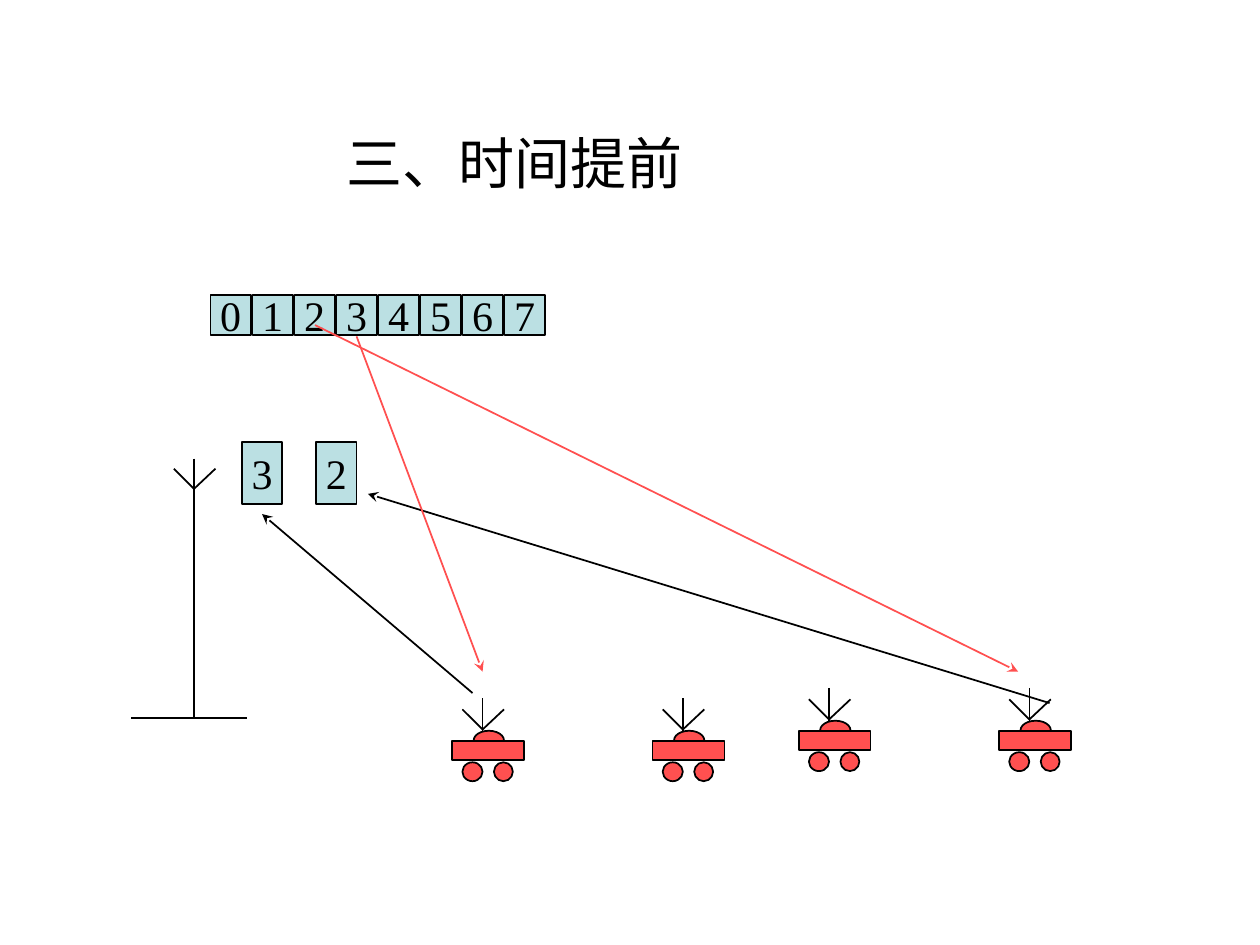
"""Build the timing advance slide: slots, base station, cars and signals."""
from lxml import etree
from pptx import Presentation
from pptx.dml.color import RGBColor
from pptx.enum import shapes, text
from pptx.oxml import ns
from pptx.util import Inches, Pt

COLORS = {"black": "000000", "red": "FF5050", "slot": "BBE0E3"}
FONT = "Times New Roman"
TITLE = "三、时间提前"
SLOTS = "01234567"
SLOT_LEFT, SLOT_TOP, SLOT_SIZE, SLOT_PITCH = 1.67, 2.34, 0.32, 1 / 3
RECEIVED_SLOTS = [("3", 1.92), ("2", 2.51)]
STATION_LINES = [
    (1.54, 3.64, 1.54, 5.7),
    (1.04, 5.7, 1.96, 5.7),
    (1.38, 3.72, 1.54, 3.88),
    (1.71, 3.72, 1.54, 3.88),
]
CARS = [(5.18, 5.88), (3.59, 5.88), (6.34, 5.8), (7.93, 5.8)]
CAR_PARTS = [
    ("OVAL", 0.17, -0.08, 0.24, 0.15),
    ("RECTANGLE", 0, 0, 0.57, 0.15),
    ("OVAL", 0.08, 0.17, 0.16, 0.15),
    ("OVAL", 0.33, 0.17, 0.15, 0.15),
]
CAR_ANTENNA = [
    (0.24, -0.34, 0.24, -0.08),
    (0.08, -0.25, 0.24, -0.09),
    (0.41, -0.25, 0.24, -0.09),
]
UPLINKS = [(3.75, 5.5, 2.08, 4.08), (8.33, 5.58, 2.92, 3.92)]
DOWNLINKS = [(2.5, 2.58, 8.08, 5.33), (2.83, 2.67, 3.83, 5.33)]


def add_line(container, ends, color="black", arrow=False):
    line = container.add_connector(
        shapes.MSO_CONNECTOR.STRAIGHT, *[Inches(value) for value in ends]
    )
    line.line.color.rgb = RGBColor.from_string(COLORS[color])
    line.line.width = Pt(1)
    properties = line._element.spPr
    etree.SubElement(properties, ns.qn("a:effectLst"))
    if arrow:
        outline = properties.find(ns.qn("a:ln"))
        etree.SubElement(outline, ns.qn("a:tailEnd"), type="stealth")


def add_part(container, kind, box, color):
    shape = container.add_shape(
        shapes.MSO_SHAPE[kind], *[Inches(value) for value in box]
    )
    shape.shadow.inherit = False
    shape.fill.solid()
    shape.fill.fore_color.rgb = RGBColor.from_string(COLORS[color])
    shape.line.color.rgb = RGBColor.from_string(COLORS["black"])
    shape.line.width = Pt(1)
    return shape


def write(shape, words, size):
    frame = shape.text_frame
    frame.text = words
    frame.word_wrap = False
    font = frame.paragraphs[0].runs[0].font
    font.name = FONT
    font.size = Pt(size)
    font.color.rgb = RGBColor.from_string(COLORS["black"])


def add_slot(container, label, left, top, height):
    slot = add_part(
        container, "RECTANGLE", (left, top, SLOT_SIZE, height), "slot"
    )
    write(slot, label, 24)
    slot.text_frame.vertical_anchor = text.MSO_ANCHOR.MIDDLE
    slot.text_frame.paragraphs[0].alignment = text.PP_ALIGN.CENTER


def add_car(slide, left, top):
    car = slide.shapes.add_group_shape().shapes
    for kind, x, y, width, height in CAR_PARTS:
        add_part(car, kind, (left + x, top + y, width, height), "red")
    for x1, y1, x2, y2 in CAR_ANTENNA:
        add_line(car, (left + x1, top + y1, left + x2, top + y2))


def main():
    presentation = Presentation()
    presentation.slide_width, presentation.slide_height = Inches(10), Inches(7.5)
    slide = presentation.slides.add_slide(presentation.slide_layouts[6])

    for ends in STATION_LINES:
        add_line(slide.shapes, ends)
    for left, top in CARS:
        add_car(slide, left, top)
    for ends in UPLINKS:
        add_line(slide.shapes, ends, arrow=True)

    frame = slide.shapes.add_group_shape().shapes
    for index, label in enumerate(SLOTS):
        add_slot(frame, label, SLOT_LEFT + index * SLOT_PITCH, SLOT_TOP, SLOT_SIZE)
    for label, left in RECEIVED_SLOTS:
        add_slot(slide.shapes, label, left, 3.51, 0.49)
    for ends in DOWNLINKS:
        add_line(slide.shapes, ends, "red", arrow=True)

    title = slide.shapes.add_textbox(
        Inches(2.65), Inches(0.97), Inches(2.87), Inches(0.63)
    )
    write(title, TITLE, 32)
    title.text_frame.auto_size = text.MSO_AUTO_SIZE.SHAPE_TO_FIT_TEXT
    presentation.save("out.pptx")


if __name__ == "__main__":
    main()
